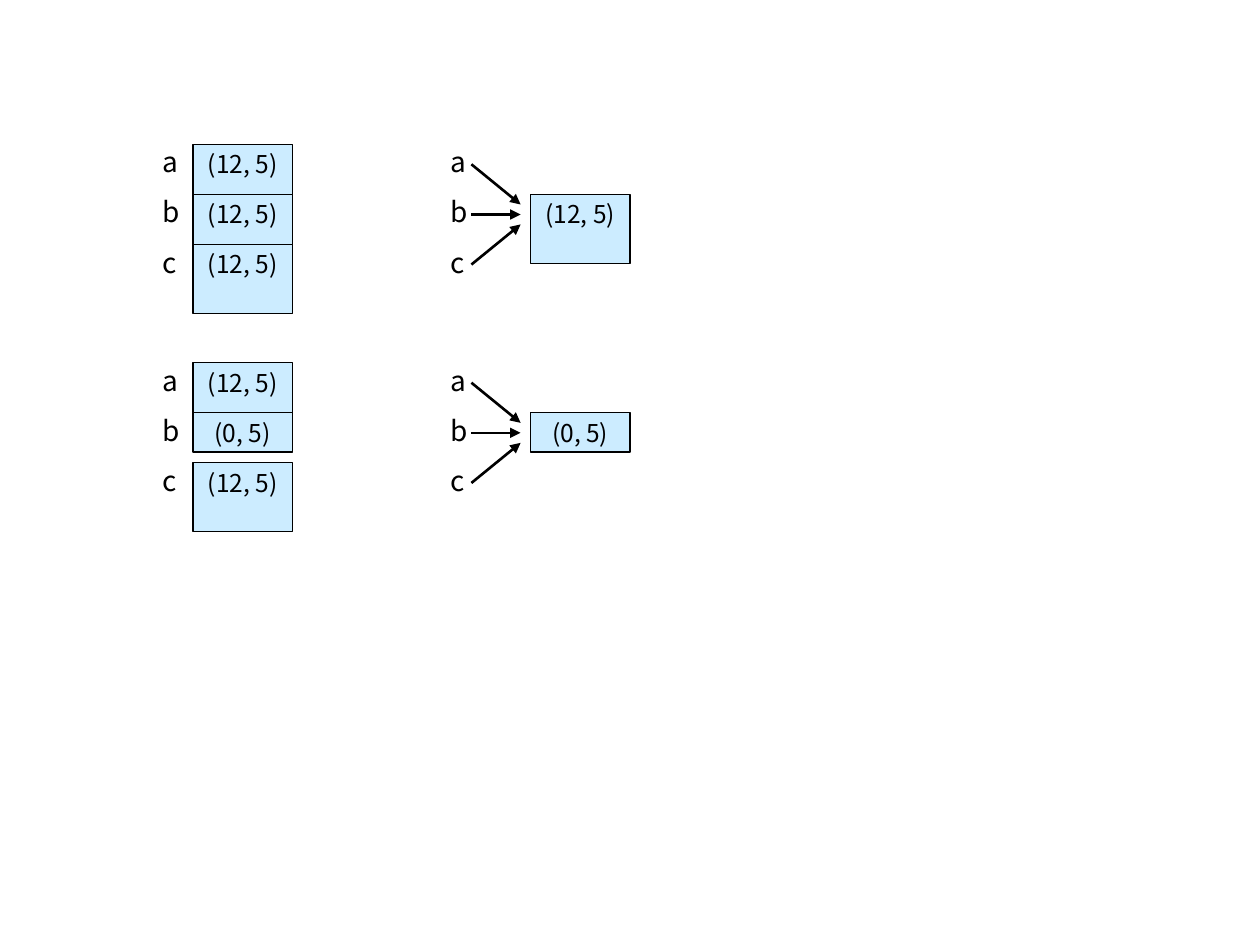
from dataclasses import dataclass

from lxml.etree import SubElement
from pptx import Presentation
from pptx.dml.color import RGBColor
from pptx.enum.shapes import MSO_CONNECTOR, MSO_SHAPE
from pptx.enum.text import MSO_ANCHOR, PP_ALIGN
from pptx.oxml.ns import qn
from pptx.slide import Slide
from pptx.text.text import TextFrame
from pptx.util import Pt


@dataclass(frozen=True)
class Theme:
    """Colours, font and sizes of the slide."""
    ink: RGBColor = RGBColor(0x00, 0x00, 0x00)
    box: RGBColor = RGBColor(0xCC, 0xEC, 0xFF)
    font: str = "Noto Sans CJK JP"
    name_size: float = 16
    value_size: float = 14
    border: float = 0.74
    arrow: float = 1.5


@dataclass(frozen=True)
class Value:
    """The content of a memory cell and the height of its box."""
    text: str
    height: float


@dataclass(frozen=True)
class Scene:
    """One row of diagrams: separate values left, a shared value right."""
    top: float
    values: tuple[Value, ...]
    shared: Value


THEME = Theme()
NAMES = ("a", "b", "c")
ROW_STEP = 28.65
BOX_WIDTH = 56.8
VALUES_LEFT, REFERENCES_LEFT = 92.9, 257.2
VALUE_OFFSET, SHARED_OFFSET = 17.4, 46
ARROW_START, ARROW_END = 12.2, 40.3
ARROW_DROP, ARROW_GAP = 11.5, 5.7

POINT = Value("(12, 5)", 39.4)
CHANGED = Value("(0, 5)", 22.5)
SCENES = (
    Scene(82.4, (POINT, POINT, POINT), POINT),
    Scene(207.2, (POINT, CHANGED, POINT), CHANGED),
)


def write(frame: TextFrame, text: str, size: float, inset: float,
          align: PP_ALIGN, wrap: bool) -> None:
    """Put one formatted run at the top of a text frame."""
    frame.word_wrap = wrap
    frame.vertical_anchor = MSO_ANCHOR.TOP
    frame.margin_left = frame.margin_right = Pt(inset)
    frame.margin_top = frame.margin_bottom = Pt(inset)
    para = frame.paragraphs[0]
    para.alignment = align
    span = para.add_run()
    span.text = text
    span.font.name = THEME.font
    span.font.size = Pt(size)
    span.font.color.rgb = THEME.ink


def add_name(page: Slide, name: str, left: float, top: float) -> None:
    """Add a variable name."""
    label = page.shapes.add_textbox(Pt(left), Pt(top), Pt(9.4), Pt(19.4))
    write(label.text_frame, name, THEME.name_size, 0, PP_ALIGN.LEFT, False)


def add_value(page: Slide, value: Value, left: float, top: float) -> None:
    """Add a box that holds a value."""
    box = page.shapes.add_shape(MSO_SHAPE.RECTANGLE, Pt(left), Pt(top),
                                Pt(BOX_WIDTH), Pt(value.height))
    box.shadow.inherit = False
    box.fill.solid()
    box.fill.fore_color.rgb = THEME.box
    box.line.color.rgb = THEME.ink
    box.line.width = Pt(THEME.border)
    write(box.text_frame, value.text, THEME.value_size, 2.9,
          PP_ALIGN.CENTER, True)


def add_arrow(page: Slide, left: float, start: float, end: float) -> None:
    """Add an arrow from a name towards the shared value."""
    arrow = page.shapes.add_connector(
        MSO_CONNECTOR.STRAIGHT, Pt(left + ARROW_START), Pt(start),
        Pt(left + ARROW_END), Pt(end))
    arrow.line.color.rgb = THEME.ink
    arrow.line.width = Pt(THEME.arrow)
    SubElement(arrow.line._get_or_add_ln(), qn("a:tailEnd"), type="triangle")
    SubElement(arrow._element.spPr, qn("a:effectLst"))


def draw_scene(page: Slide, scene: Scene) -> None:
    """Draw the separate values and the shared value of one scene."""
    middle = scene.top + ROW_STEP
    for row, (name, value) in enumerate(zip(NAMES, scene.values)):
        top = scene.top + row * ROW_STEP
        add_name(page, name, VALUES_LEFT, top + 0.4)
        add_value(page, value, VALUES_LEFT + VALUE_OFFSET, top)
        add_name(page, name, REFERENCES_LEFT, top + 0.4)
        add_arrow(page, REFERENCES_LEFT, top + ARROW_DROP,
                  middle + ARROW_DROP + (row - 1) * ARROW_GAP)
    add_value(page, scene.shared, REFERENCES_LEFT + SHARED_OFFSET, middle)


def main() -> None:
    """Build and save the deck."""
    deck = Presentation()
    deck.slide_width, deck.slide_height = Pt(720), Pt(540)
    page = deck.slides.add_slide(deck.slide_layouts[6])
    for scene in SCENES:
        draw_scene(page, scene)
    deck.save("out.pptx")


main()
